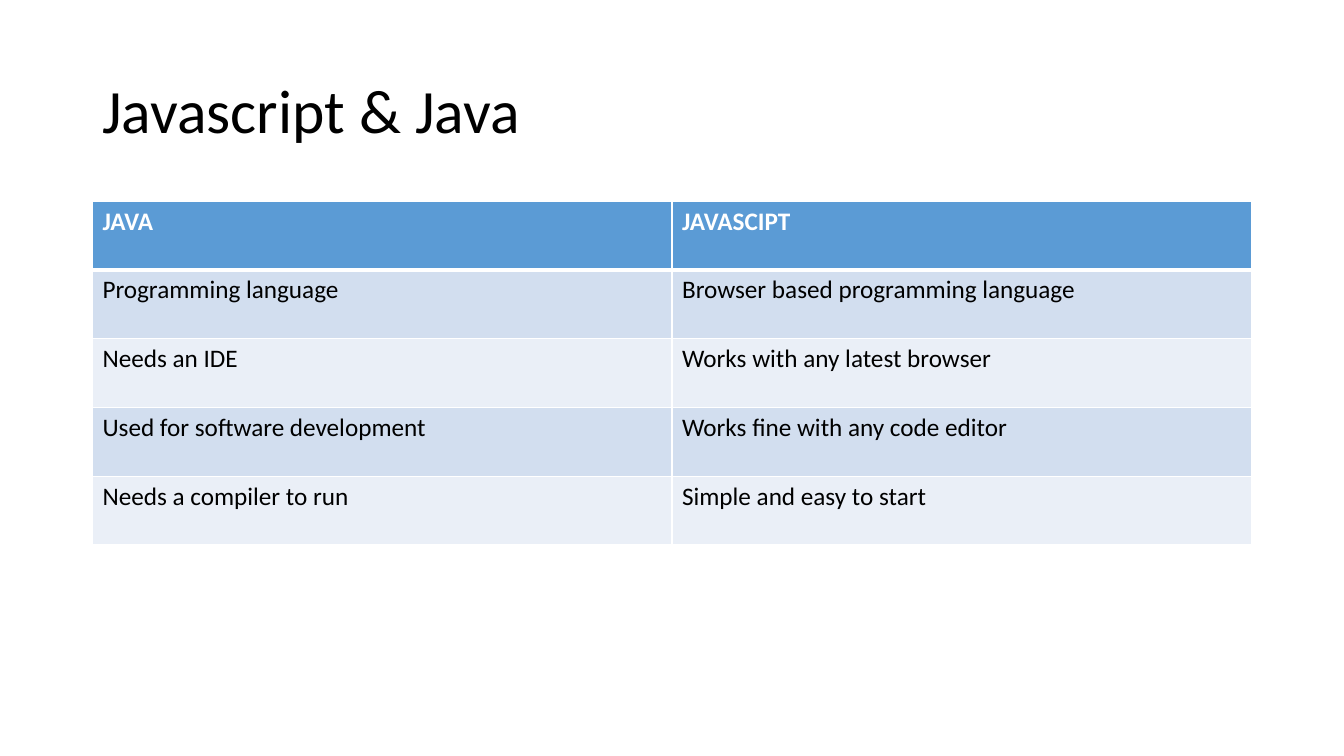
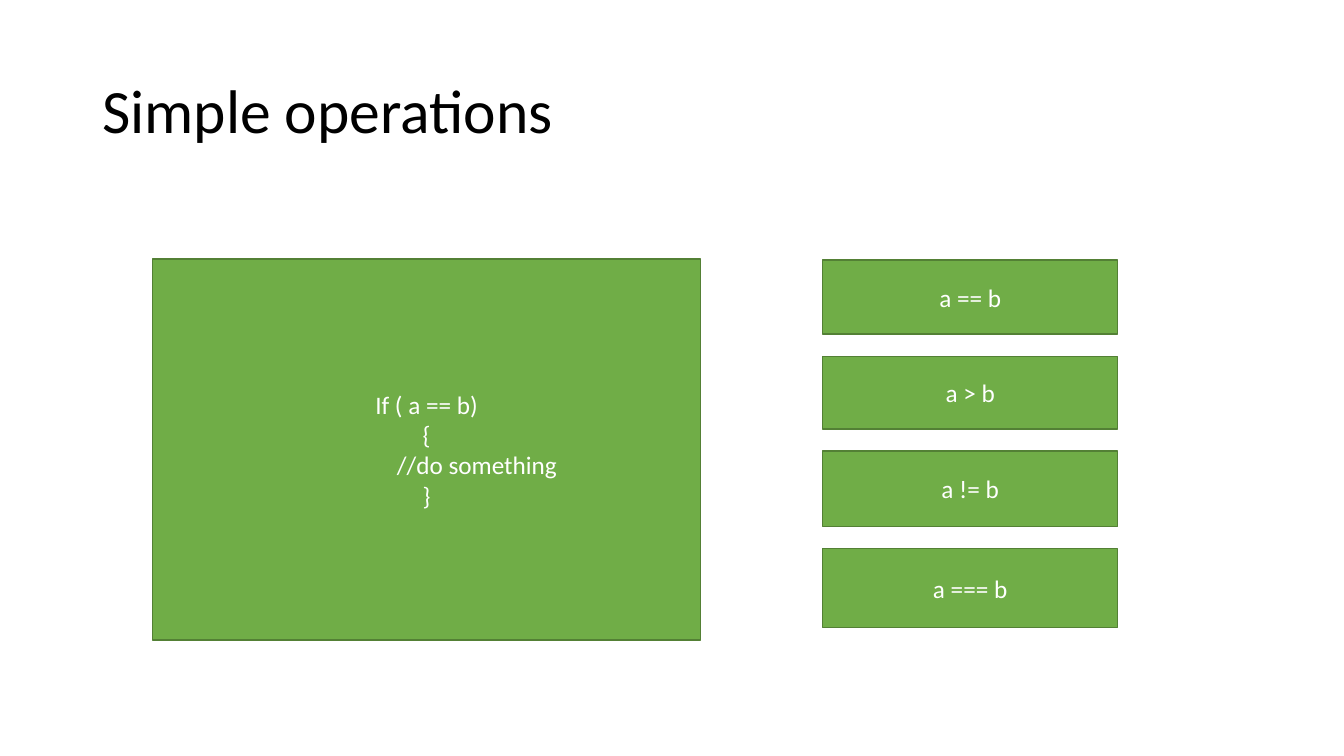
"""Build two slides: a Java and JavaScript comparison table, and simple operations."""
from lxml.etree import SubElement
from pptx import Presentation
from pptx.dml.color import RGBColor
from pptx.enum.shapes import MSO_SHAPE
from pptx.enum.text import MSO_ANCHOR, PP_ALIGN
from pptx.oxml.ns import qn
from pptx.util import Cm, Pt

FONT = "Calibri"
COLORS = {name: RGBColor.from_string(value) for name, value in {
    "black": "000000", "white": "FFFFFF", "header": "5B9BD5", "band": "D2DEEF",
    "light": "EAEFF7", "green": "70AD47", "outline": "538035"}.items()}


def write(tf, text, size=18, color="black", bold=False, align=PP_ALIGN.LEFT,
          anchor=MSO_ANCHOR.TOP, spacing=1.0):
    tf.word_wrap = True
    tf.vertical_anchor = anchor
    for i, line in enumerate(text.split("\n")):
        p = tf.add_paragraph() if i else tf.paragraphs[0]
        p.alignment = align
        p.line_spacing = spacing
        r = p.add_run()
        r.text = line
        r.font.name = FONT
        r.font.size = Pt(size)
        r.font.bold = bold
        r.font.color.rgb = COLORS[color]


def add_border(cell, side, width):
    ln = SubElement(cell._tc.get_or_add_tcPr(), qn(f"a:ln{side}"), w=str(Pt(width)))
    fill = SubElement(ln, qn("a:solidFill"))
    SubElement(fill, qn("a:srgbClr"), val=str(COLORS["white"]))


prs = Presentation()
prs.slide_width, prs.slide_height = Cm(33.87), Cm(19.05)
left, width = Cm(2.33), Cm(29.21)

slides = []
for title in ("Javascript & Java", "Simple operations"):
    s = prs.slides.add_slide(prs.slide_layouts[6])
    sp = s.shapes.add_textbox(left, Cm(1.01), width, Cm(3.68))
    write(sp.text_frame, title, size=44, anchor=MSO_ANCHOR.MIDDLE, spacing=0.9)
    slides.append(s)
comparison, operations = slides

rows = [
    ("JAVA", "JAVASCIPT"),
    ("Programming language", "Browser based programming language"),
    ("Needs an IDE", "Works with any latest browser"),
    ("Used for software development", "Works fine with any code editor"),
    ("Needs a compiler to run", "Simple and easy to start"),
]
table = comparison.shapes.add_table(
    len(rows), 2, left, Cm(5.07), width, Cm(8.66)).table
for i, row in enumerate(rows):
    header = i == 0
    fill = "header" if header else ("light", "band")[i % 2]
    for j, text in enumerate(row):
        cell = table.cell(i, j)
        for side in "LRTB":
            thick = (header and side == "B") or (i == 1 and side == "T")
            add_border(cell, side, 3 if thick else 1)
        cell.fill.solid()
        cell.fill.fore_color.rgb = COLORS[fill]
        write(cell.text_frame, text, color="white" if header else "black", bold=header)

boxes = [("If ( a == b)\n{\n//do something\n}", 3.84, 6.53, 13.82, 9.6)]
top, gap = 6.55, 0.56
for text, height in (("a == b", 1.87), ("a > b", 1.83), ("a != b", 1.9), ("a === b", 1.98)):
    boxes.append((text, 20.73, top, 7.44, height))
    top += height + gap

for text, *place in boxes:
    sp = operations.shapes.add_shape(MSO_SHAPE.RECTANGLE, *map(Cm, place))
    sp.shadow.inherit = False
    sp.fill.solid()
    sp.fill.fore_color.rgb = COLORS["green"]
    sp.line.color.rgb = COLORS["outline"]
    sp.line.width = Pt(1)
    write(sp.text_frame, text, color="white", align=PP_ALIGN.CENTER,
          anchor=MSO_ANCHOR.MIDDLE)
    for p in sp.text_frame.paragraphs:
        if p.text.startswith("//"):
            p._p.get_or_add_pPr().set("marL", str(Cm(2.54)))

prs.save("out.pptx")
